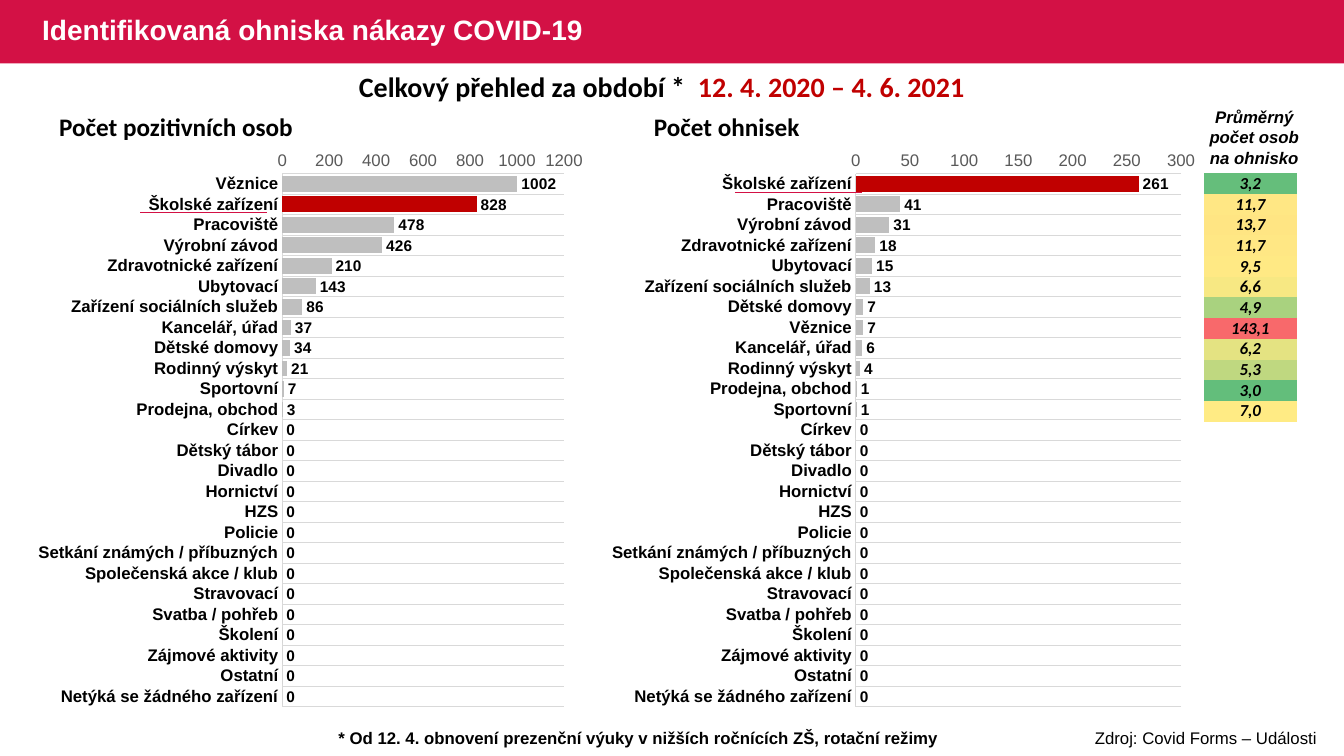
from lxml import etree
from pptx import Presentation
from pptx.chart import data as chart_data
from pptx.dml.color import RGBColor
from pptx.enum import chart as chart_enum, shapes, text
from pptx.oxml import ns
from pptx.util import Cm, Pt

BLACK = RGBColor(0x00, 0x00, 0x00)
WHITE = RGBColor(0xFF, 0xFF, 0xFF)
CRIMSON = RGBColor(0xD3, 0x11, 0x45)
RED = RGBColor(0xC0, 0x00, 0x00)
BAR_GREY = RGBColor(0xBF, 0xBF, 0xBF)
AXIS_GREY = RGBColor(0x59, 0x59, 0x59)
GRID_GREY = RGBColor(0xD9, 0xD9, 0xD9)

HIGHLIGHT = "Školské zařízení"
NO_STYLE = "{2D5ABB26-0587-4C30-8999-92F81FD0307C}"

# Places without any outbreak close both charts
ZERO_PLACES = [
    "Církev", "Dětský tábor", "Divadlo", "Hornictví", "HZS", "Policie",
    "Setkání známých / příbuzných", "Společenská akce / klub", "Stravovací",
    "Svatba / pohřeb", "Školení", "Zájmové aktivity", "Ostatní",
    "Netýká se žádného zařízení",
]
POSITIVE_PEOPLE = {
    "Věznice": 1002, HIGHLIGHT: 828, "Pracoviště": 478, "Výrobní závod": 426,
    "Zdravotnické zařízení": 210, "Ubytovací": 143,
    "Zařízení sociálních služeb": 86, "Kancelář, úřad": 37,
    "Dětské domovy": 34, "Rodinný výskyt": 21, "Sportovní": 7,
    "Prodejna, obchod": 3,
}
OUTBREAKS = {
    HIGHLIGHT: 261, "Pracoviště": 41, "Výrobní závod": 31,
    "Zdravotnické zařízení": 18, "Ubytovací": 15,
    "Zařízení sociálních služeb": 13, "Dětské domovy": 7, "Věznice": 7,
    "Kancelář, úřad": 6, "Rodinný výskyt": 4, "Prodejna, obchod": 1,
    "Sportovní": 1,
}
AVERAGES = [
    ("3,2", "65BE7B"), ("11,7", "FFE784"), ("13,7", "FFE583"),
    ("11,7", "FFE784"), ("9,5", "FFE984"), ("6,6", "F7E883"),
    ("4,9", "A9D27F"), ("143,1", "F8696B"), ("6,2", "E4E382"),
    ("5,3", "BFD880"), ("3,0", "63BE7B"), ("7,0", "FFEB84"),
]


def format_font(font, size, color=BLACK, name="Arial", bold=False, italic=False):
    font.size, font.name, font.bold, font.italic = Pt(size), name, bold, italic
    font.color.rgb = color


def add_banner(slide):
    banner = slide.shapes.add_shape(
        shapes.MSO_SHAPE.RECTANGLE, 0, 0, Cm(33.87), Cm(1.6))
    banner.shadow.inherit = False
    banner.fill.solid()
    banner.fill.fore_color.rgb = CRIMSON
    banner.line.fill.background()
    # Send the banner behind the title
    slide.shapes._spTree.insert(2, banner._element)


def set_title(slide, wording):
    title = slide.shapes.title
    title.left, title.top, title.width, title.height = Cm(0.81), 0, Cm(21.64), Cm(1.6)
    frame = title.text_frame
    frame.text = wording
    frame.vertical_anchor = text.MSO_ANCHOR.MIDDLE
    frame.auto_size = text.MSO_AUTO_SIZE.NONE
    paragraph = frame.paragraphs[0]
    paragraph.alignment = text.PP_ALIGN.LEFT
    paragraph.line_spacing = 0.9
    format_font(paragraph.runs[0].font, 20, WHITE, bold=True)


def add_text(slide, left, top, width, height, wording, size,
             centred=False, wrap=True, **style):
    box = slide.shapes.add_textbox(Cm(left), Cm(top), Cm(width), Cm(height))
    box.text_frame.word_wrap = wrap
    paragraph = box.text_frame.paragraphs[0]
    paragraph.text = wording
    paragraph.alignment = text.PP_ALIGN.CENTER if centred else text.PP_ALIGN.LEFT
    format_font(paragraph.runs[0].font, size, **style)
    return paragraph


def add_underline(slide, left, top):
    line = slide.shapes.add_connector(
        shapes.MSO_CONNECTOR.STRAIGHT, Cm(left), Cm(top), Cm(left + 3.2), Cm(top))
    line.line.color.rgb = CRIMSON
    line.line.width = Pt(1)
    etree.SubElement(line._element.spPr, ns.qn("a:effectLst"))


def set_plot_area(chart, x, y, width, height):
    plot_area = chart._chartSpace.chart.plotArea
    for old in plot_area.findall(ns.qn("c:layout")):
        plot_area.remove(old)
    layout = etree.Element(ns.qn("c:layout"))
    manual = etree.SubElement(layout, ns.qn("c:manualLayout"))
    settings = {"layoutTarget": "inner", "xMode": "edge", "yMode": "edge",
                "x": x, "y": y, "w": width, "h": height}
    for tag, value in settings.items():
        etree.SubElement(manual, ns.qn(f"c:{tag}")).set("val", str(value))
    plot_area.insert(0, layout)


def add_bar_chart(slide, left, counts, maximum, step, plot_x, plot_width):
    counts = {**counts, **dict.fromkeys(ZERO_PLACES, 0)}
    values = chart_data.CategoryChartData()
    values.categories = list(counts)
    values.add_series("Series 1", list(counts.values()))
    chart = slide.shapes.add_chart(
        chart_enum.XL_CHART_TYPE.BAR_CLUSTERED,
        Cm(left), Cm(3.45), Cm(15.01), Cm(14.66), values).chart
    format_font(chart.font, 10)
    chart.has_legend = chart.has_title = False
    set_plot_area(chart, plot_x, 0.063, plot_width, 0.917)

    # Axes
    places, scale = chart.category_axis, chart.value_axis
    for axis in (places, scale):
        axis.major_tick_mark = axis.minor_tick_mark = chart_enum.XL_TICK_MARK.NONE
    format_font(places.tick_labels.font, 12, bold=True)
    places.reverse_order = True
    places.has_major_gridlines = True
    for line in (places.format.line, places.major_gridlines.format.line):
        line.color.rgb = GRID_GREY
        line.width = Pt(0.75)
    format_font(scale.tick_labels.font, 12, AXIS_GREY)
    scale.has_major_gridlines = False
    scale.format.line.fill.background()
    scale.minimum_scale, scale.maximum_scale, scale.major_unit = 0, maximum, step

    # Bars
    plot = chart.plots[0]
    plot.gap_width, plot.overlap, plot.vary_by_categories = 30, 100, False
    series = plot.series[0]
    series.invert_if_negative = False
    school = series.points[list(counts).index(HIGHLIGHT)]
    for bar, color in ((series, BAR_GREY), (school, RED)):
        bar.format.fill.solid()
        bar.format.fill.fore_color.rgb = color
    labels = series.data_labels
    labels.show_value = True
    labels.position = chart_enum.XL_LABEL_POSITION.OUTSIDE_END
    format_font(labels.font, 11, bold=True)


def add_average_table(slide):
    row_count = len(AVERAGES) + len(ZERO_PLACES)
    table = slide.shapes.add_table(
        row_count, 1, Cm(30.33), Cm(4.37), Cm(2.36), Cm(13.56)).table
    table.first_row = table.horz_banding = False
    table._tbl.tblPr.find(ns.qn("a:tableStyleId")).text = NO_STYLE
    blanks = [("", None)] * len(ZERO_PLACES)
    for cell, (average, color) in zip(table.iter_cells(), AVERAGES + blanks):
        cell.margin_left = cell.margin_right = Cm(0.03)
        cell.margin_top = cell.margin_bottom = 0
        cell.vertical_anchor = text.MSO_ANCHOR.MIDDLE
        paragraph = cell.text_frame.paragraphs[0]
        if not average:
            cell.fill.background()
            # Keep blank rows as low as the filled ones
            etree.SubElement(paragraph._p, ns.qn("a:endParaRPr")).set("sz", "1200")
            continue
        cell.fill.solid()
        cell.fill.fore_color.rgb = RGBColor.from_string(color)
        paragraph.text = average
        paragraph.alignment = text.PP_ALIGN.CENTER
        format_font(paragraph.runs[0].font, 12, name="Calibri", bold=True, italic=True)


def main():
    presentation = Presentation()
    presentation.slide_width, presentation.slide_height = Cm(33.87), Cm(19.05)
    slide = presentation.slides.add_slide(presentation.slide_layouts[5])

    # Header
    add_banner(slide)
    set_title(slide, "Identifikovaná ohniska nákazy COVID-19")

    # Charts with headings
    add_bar_chart(slide, 0, POSITIVE_PEOPLE, 1200, 200, 0.474, 0.473)
    add_bar_chart(slide, 15.34, OUTBREAKS, 300, 50, 0.415, 0.546)
    for left, heading in ((1.24, "Počet pozitivních osob"), (16.23, "Počet ohnisek")):
        add_text(slide, left, 2.69, 9.86, 1.02, heading, 18, name="Calibri", bold=True)
    add_underline(slide, 3.53, 5.36)
    add_underline(slide, 18.52, 4.85)

    # Period
    period = add_text(slide, 8.03, 1.63, 17.3, 1.12, "Celkový přehled za období *  ",
                      20, centred=True, name="Calibri", bold=True)
    dates = period.add_run()
    dates.text = "12. 4. 2020 – 4. 6. 2021"
    format_font(dates.font, 20, RED, "Calibri", bold=True)

    # Averages
    add_text(slide, 30.15, 2.57, 2.92, 1.8, "Průměrný počet osob na ohnisko",
             12, centred=True, bold=True, italic=True)
    add_average_table(slide)

    # Footer
    add_text(slide, 27, 18.21, 6.78, 0.76, "Zdroj: Covid Forms – Události",
             12, centred=True)
    add_text(slide, 8.28, 18.21, 15.93, 0.76,
             "* Od 12. 4. obnovení prezenční výuky v nižších ročnících ZŠ, rotační režimy",
             12, wrap=False, bold=True)

    presentation.save("out.pptx")


if __name__ == "__main__":
    main()
